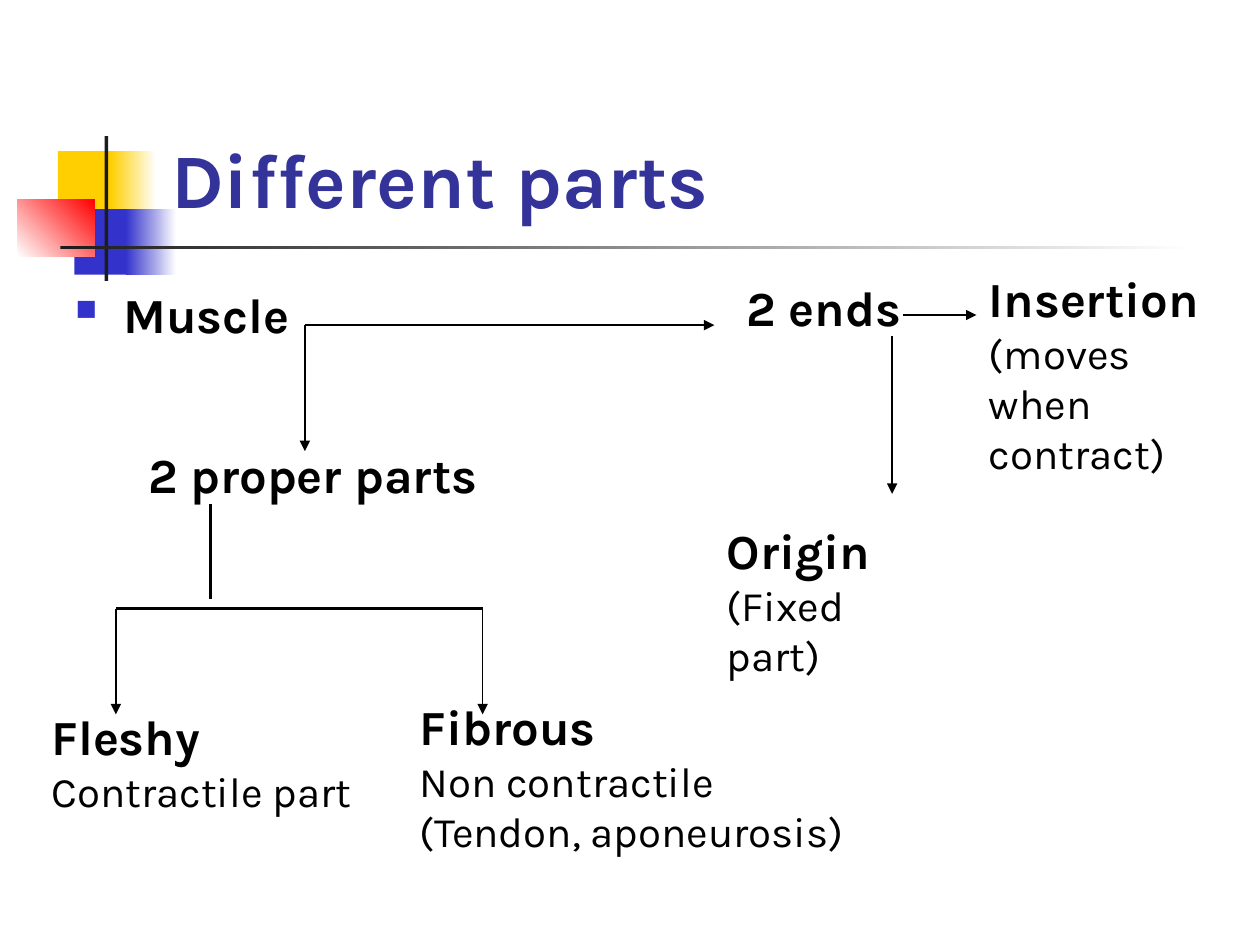
import pptx
import pptx.util
import pptx.dml.color
import pptx.enum.shapes
import pptx.enum.text
import pptx.oxml
import pptx.oxml.ns
from lxml import etree

Inches, Pt = pptx.util.Inches, pptx.util.Pt
Rgb = pptx.dml.color.RGBColor
Kind = pptx.enum.shapes
Anchor = pptx.enum.text.MSO_ANCHOR
qn = pptx.oxml.ns.qn

HEX = {"yellow": "FFCF01", "blue": "3333CC", "red": "FF0000", "dark": "1C1C1C",
       "white": "FFFFFF", "title": "333399", "black": "000000"}
FONT = "Karla"
HEAD = {"name": FONT, "size": Pt(28), "bold": True}
NOTE = {"name": FONT, "size": Pt(24), "bold": False}
TITLE = {"name": FONT, "size": Pt(44), "bold": True}

# left, top, width, height, colours (one is solid, two fade), angle
DECOR = [
    (0.46, 1.2, 0.48, 0.52, ["yellow"], 0),
    (0.88, 1.2, 0.36, 0.52, ["yellow", "white"], 0),
    (0.59, 1.66, 0.46, 0.52, ["blue"], 0),
    (1, 1.66, 0.4, 0.52, ["blue", "white"], 0),
    (0.14, 1.58, 0.61, 0.46, ["white", "red"], 45),
    (0.83, 1.08, 0.03, 1.15, ["dark"], 0),
    (0.48, 1.95, 9, 0.03, ["dark", "white"], 0),
]

# left, top, width, height, wrap, heading, notes
LABELS = [
    (1.08, 3.48, 2.95, 0.57, False, "2 proper parts", []),
    (5.83, 2.15, 1.99, 0.57, True, "2 ends", []),
    (5.67, 4.08, 1.81, 1.77, True, "Origin", ["(Fixed part)"]),
    (7.75, 2.08, 2.05, 1.77, True, "Insertion", ["(moves when contract)"]),
    (0.31, 5.56, 2.64, 0.97, False, "Fleshy", ["Contractile part"]),
    (3.23, 5.48, 3.7, 1.37, False, "Fibrous",
     ["Non contractile", "(Tendon, aponeurosis)"]),
]

# from x, y, to x, y, weight, arrow
LINES = [
    (2.42, 2.58, 5.67, 2.58, 1.5, True),
    (2.42, 2.58, 2.42, 3.58, 1.5, True),
    (7.08, 2.67, 7.08, 3.92, 1.5, True),
    (7.17, 2.5, 7.75, 2.5, 1.5, True),
    (1.67, 4, 1.67, 4.75, 1.5, False),
    (0.92, 4.83, 3.83, 4.83, 1.5, False),
    (0.92, 4.83, 0.92, 5.67, 0.75, True),
    (3.83, 4.83, 3.83, 5.67, 0.75, True),
]


def tint(name):
    return Rgb.from_string(HEX[name])


def add_block(slide, left, top, width, height, tones, angle):
    block = slide.shapes.add_shape(
        Kind.MSO_SHAPE.RECTANGLE, *map(Inches, (left, top, width, height)))
    block.shadow.inherit = False
    block.line.fill.background()
    if len(tones) == 1:
        block.fill.solid()
        block.fill.fore_color.rgb = tint(tones[0])
        return
    block.fill.gradient()
    block.fill.gradient_angle = angle
    for stop, tone in zip(block.fill.gradient_stops, tones):
        stop.color.rgb = tint(tone)


def add_text(slide, box, rows, wrap=True, anchor=Anchor.TOP, tone="black"):
    """Write rows of (text, format) as paragraphs and return the frame."""
    frame = slide.shapes.add_textbox(*map(Inches, box)).text_frame
    frame.word_wrap = wrap
    frame.vertical_anchor = anchor
    for i, (text, style) in enumerate(rows):
        para = frame.add_paragraph() if i else frame.paragraphs[0]
        run = para.add_run()
        run.text = text
        for key, value in style.items():
            setattr(run.font, key, value)
        run.font.color.rgb = tint(tone)
    return frame


def add_bullet(para):
    props = para._p.get_or_add_pPr()
    props.set("marL", str(Inches(0.38)))
    props.set("indent", str(Inches(-0.38)))
    shade = etree.SubElement(props, qn("a:buClr"))
    etree.SubElement(shade, qn("a:srgbClr"), val=HEX["blue"])
    etree.SubElement(props, qn("a:buSzPct"), val="60000")
    etree.SubElement(props, qn("a:buChar"), char="■")


def add_line(slide, x1, y1, x2, y2, weight, arrow):
    line = slide.shapes.add_connector(
        Kind.MSO_CONNECTOR.STRAIGHT, *map(Inches, (x1, y1, x2, y2)))
    line.line.width = Pt(weight)
    line.line.color.rgb = tint("black")
    if arrow:
        etree.SubElement(line.line._get_or_add_ln(), qn("a:tailEnd"), type="triangle")
    etree.SubElement(line._element.spPr, qn("a:effectLst"))


def main():
    deck = pptx.Presentation()
    deck.slide_width, deck.slide_height = Inches(10), Inches(7.5)
    slide = deck.slides.add_slide(deck.slide_layouts[6])
    for block in DECOR:
        add_block(slide, *block)
    add_text(slide, (1.26, 0.23, 8.52, 1.6), [("Different parts", TITLE)],
             anchor=Anchor.BOTTOM, tone="title")
    body = add_text(slide, (0.5, 2.21, 9.29, 4.5), [("Muscle", HEAD)])
    add_bullet(body.paragraphs[0])
    for line in LINES:
        add_line(slide, *line)
    for *box, wrap, head, notes in LABELS:
        rows = [(head, HEAD)] + [(note, NOTE) for note in notes]
        add_text(slide, box, rows, wrap)
    deck.save("out.pptx")


if __name__ == "__main__":
    main()
